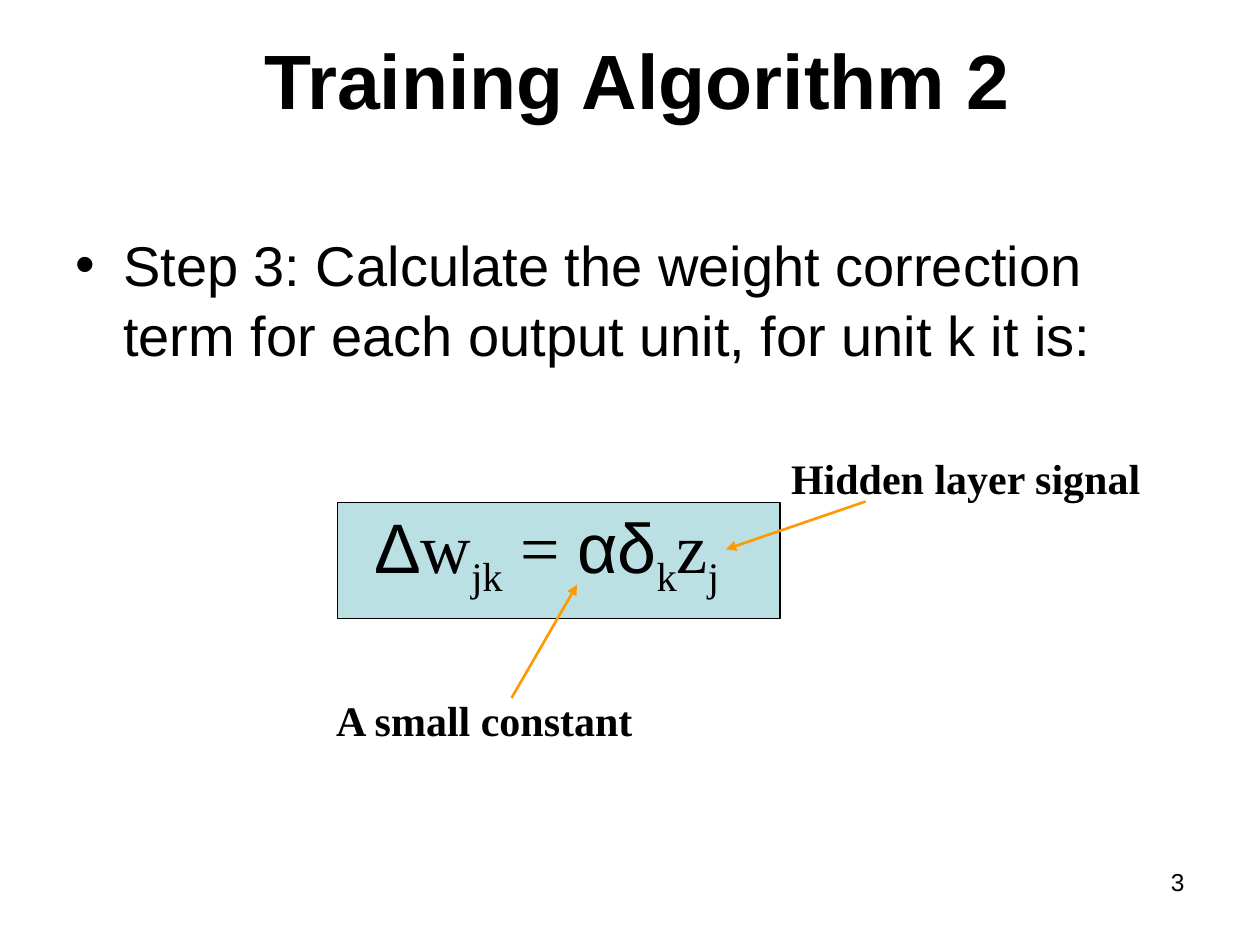
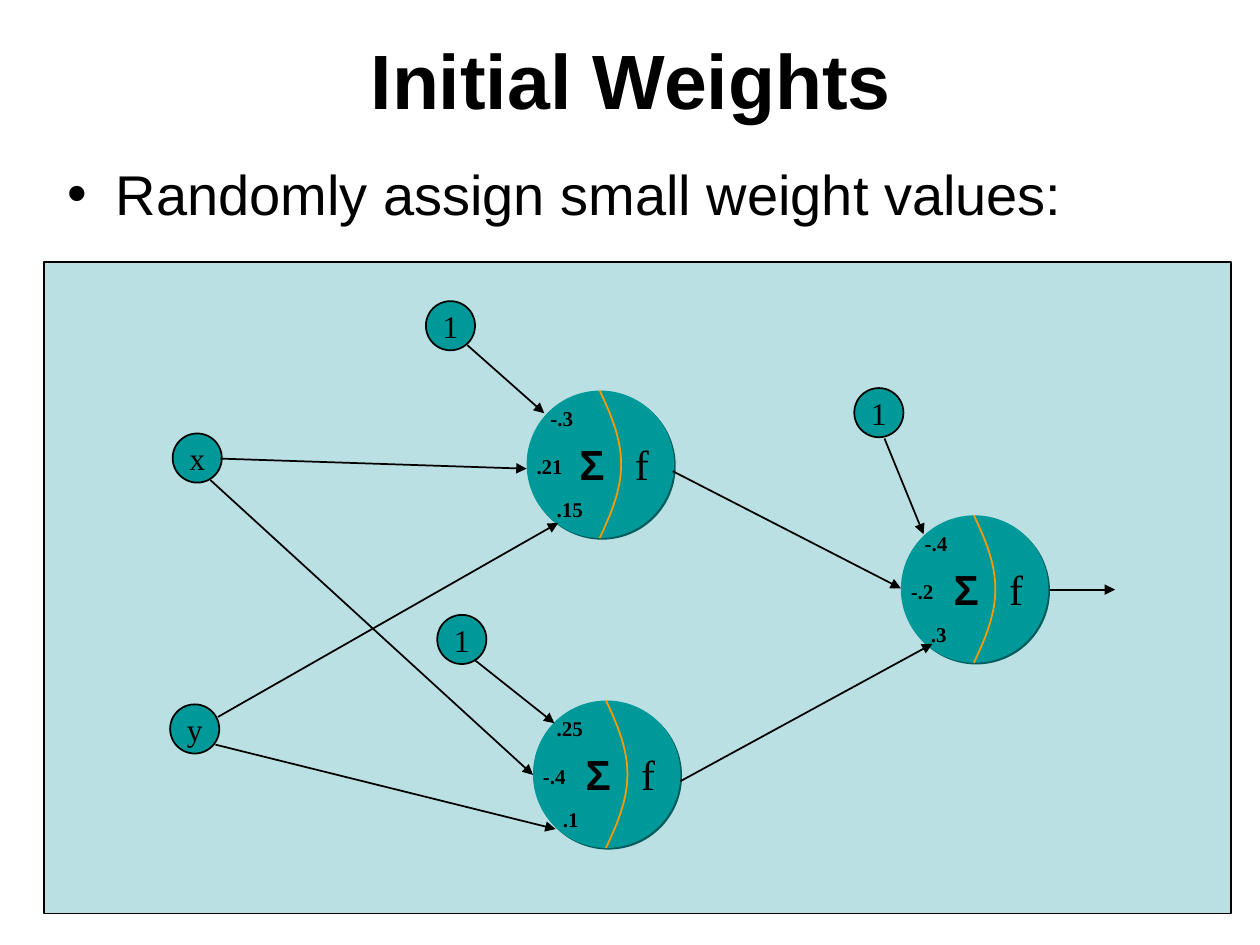
from lxml.etree import SubElement
from pptx import Presentation
from pptx.dml.color import RGBColor
from pptx.enum.shapes import MSO_CONNECTOR, MSO_SHAPE
from pptx.enum.text import MSO_ANCHOR, MSO_AUTO_SIZE, PP_ALIGN
from pptx.oxml.ns import qn
from pptx.util import Inches, Pt

# Shared look
BLACK, PANEL, TEAL, TEAL_SHADE, ORANGE = "000000", "BBE0E3", "009999", "005C5C", "FF9900"
SANS, SERIF = "Arial", "Times New Roman"

# Slide 1: text, font, is subscript
EQUATION = [
    ("Δ", SANS, False), ("w", SERIF, False), ("jk", SERIF, True),
    (" = ", SERIF, False), ("αδ", SANS, False), ("k", SERIF, True),
    ("z", SERIF, False), ("j", SERIF, True),
]
# Label, its box, arrow start, arrow end
CALLOUTS = [
    ("A small constant", (2.57, 5.46, 2.57, 0.5), (4.06, 5.54), (4.58, 4.64)),
    ("Hidden layer signal", (6.18, 3.54, 2.98, 0.5), (6.87, 3.98), (5.76, 4.36)),
]

# Slide 2: label, left, top
INPUTS = [("x", 1.37, 3.44), ("y", 1.35, 5.59)]
BIASES = [("1", 3.38, 2.39), ("1", 3.47, 4.88), ("1", 6.78, 3.08)]
# Left, top, weights from top to bottom
NEURONS = [
    (4.18, 3.1, ("-.3", ".21", ".15")),
    (4.23, 5.56, (".25", "-.4", ".1")),
    (7.15, 4.09, ("-.4", "-.2", ".3")),
]
SIGNALS = [
    ((3.77, 5.24), (4.4, 5.74)), ((3.71, 2.74), (4.32, 3.28)),
    ((1.75, 3.64), (4.18, 3.72)), ((1.67, 3.81), (4.23, 6.15)),
    ((1.73, 5.69), (4.43, 4.15)), ((1.71, 5.91), (4.41, 6.58)),
    ((7.02, 3.48), (7.33, 4.24)), ((5.34, 3.74), (7.15, 4.67)),
    ((5.4, 6.2), (7.4, 5.11)), ((8.33, 4.68), (8.85, 4.68)),
]
NODE_SIZE, NEURON_SIZE = 0.39, 1.17
WEIGHT_OFFSETS = [(0.09, 0.07), (-0.02, 0.45), (0.14, 0.79)]
# Half of the divider inside a neuron, as Bezier control points
DIVIDER = [(0.58, 0), (0.67, 0.19), (0.75, 0.38), (0.75, 0.58)]
GLYPH_EMS = {"-": 0.33, ".": 0.25}


def rgb(color):
    return RGBColor.from_string(color)


def add_run(p, text, size, font=SANS, bold=False, subscript=False):
    r = p.add_run()
    r.text = text
    r.font.size, r.font.name, r.font.bold = Pt(size), font, bold
    r.font.color.rgb = rgb(BLACK)
    if subscript:
        r.font._element.set("baseline", "-25000")


def add_text(s, box, text="", size=32, font=SANS, bold=False, wrap=True,
             align=PP_ALIGN.LEFT, anchor=MSO_ANCHOR.TOP):
    tf = s.shapes.add_textbox(*map(Inches, box)).text_frame
    tf.word_wrap, tf.vertical_anchor = wrap, anchor
    if not wrap:
        tf.auto_size = MSO_AUTO_SIZE.SHAPE_TO_FIT_TEXT
    p = tf.paragraphs[0]
    p.alignment = align
    if text:
        add_run(p, text, size, font, bold)
    return p


def add_title(s, left, text):
    add_text(s, (left, 0, 9, 1.25), text, 44, bold=True,
             align=PP_ALIGN.CENTER, anchor=MSO_ANCHOR.MIDDLE)


def add_bullet(s, left, top, text):
    p = add_text(s, (left, top, 9, 4.95))
    p.line_spacing = 1.05
    pPr = p._p.get_or_add_pPr()
    pPr.set("marL", str(Inches(0.38)))
    pPr.set("indent", str(-Inches(0.38)))
    SubElement(pPr, qn("a:buFont"), typeface=SANS)
    SubElement(pPr, qn("a:buChar"), char="•")
    add_run(p, text, 32)


def set_line(shape, color, width):
    shape.line.color.rgb = rgb(color)
    shape.line.width = Pt(width)


def add_shape(s, kind, box, fill, line_width=None):
    sp = s.shapes.add_shape(kind, *map(Inches, box))
    sp.shadow.inherit = False
    sp.fill.solid()
    sp.fill.fore_color.rgb = rgb(fill)
    if line_width:
        set_line(sp, BLACK, line_width)
    else:
        sp.line.fill.background()
    return sp


def add_arrow(s, start, end, color=BLACK, width=1):
    line = s.shapes.add_connector(MSO_CONNECTOR.STRAIGHT, *map(Inches, start + end))
    set_line(line, color, width)
    SubElement(line.line._get_or_add_ln(), qn("a:tailEnd"), type="triangle")
    SubElement(line._element.spPr, qn("a:effectLst"))


def add_node(s, label, left, top):
    sp = add_shape(s, MSO_SHAPE.OVAL, (left, top, NODE_SIZE, NODE_SIZE), TEAL, 1)
    tf = sp.text_frame
    tf.word_wrap, tf.vertical_anchor = False, MSO_ANCHOR.MIDDLE
    p = tf.paragraphs[0]
    p.alignment = PP_ALIGN.CENTER
    add_run(p, label, 18, SERIF)


def bezier(t):
    factors = ((1 - t) ** 3, 3 * t * (1 - t) ** 2, 3 * t * t * (1 - t), t ** 3)
    return tuple(sum(f * pt[i] for f, pt in zip(factors, DIVIDER)) for i in (0, 1))


def add_neuron(s, left, top, weights):
    # Body with a hard offset shadow
    sp = add_shape(s, MSO_SHAPE.OVAL, (left, top, NEURON_SIZE, NEURON_SIZE), TEAL)
    effects = sp._element.spPr.find(qn("a:effectLst"))
    shadow = SubElement(effects, qn("a:outerShdw"), blurRad="0", dist=str(Pt(1.4)),
                        dir=str(45 * 60000), algn="ctr", rotWithShape="0")
    SubElement(shadow, qn("a:srgbClr"), val=TEAL_SHADE)

    # Curved divider: one half and its mirror
    half = [bezier(i / 16) for i in range(17)]
    curve = half + [(x, NEURON_SIZE - y) for x, y in reversed(half)]
    points = [(Inches(left + x), Inches(top + y)) for x, y in curve]
    builder = s.shapes.build_freeform(*points[0])
    builder.add_line_segments(points[1:], close=False)
    divider = builder.convert_to_shape()
    divider.shadow.inherit = False
    divider.fill.background()
    set_line(divider, ORANGE, 1)

    # Sum, activation and weights
    add_text(s, (left + 0.76, top + 0.33, 0.31, 0.5), "f", 24, SERIF, wrap=False)
    add_text(s, (left + 0.32, top + 0.33, 0.39, 0.5), "Σ", 24, bold=True, wrap=False)
    for weight, (dx, dy) in zip(weights, WEIGHT_OFFSETS):
        width = 0.2 + sum(GLYPH_EMS.get(c, 0.5) for c in weight) * 12 / 72
        add_text(s, (left + dx, top + dy, width, 0.3), weight, 12, SERIF, True, wrap=False)


def build_training_slide(s):
    add_text(s, (7.17, 6.83, 2.33, 0.52), "3", 14, align=PP_ALIGN.RIGHT)
    add_title(s, 0.56, "Training Algorithm 2")
    add_bullet(s, 0.5, 1.75, "Step 3: Calculate the weight correction term "
               "for each output unit, for unit k it is:")
    add_shape(s, MSO_SHAPE.RECTANGLE, (2.68, 3.99, 3.51, 0.92), PANEL, 0.75)
    p = add_text(s, (2.87, 3.95, 2.99, 0.86))
    for text, font, subscript in EQUATION:
        add_run(p, text, 40, font, subscript=subscript)
    for label, box, start, end in CALLOUTS:
        add_text(s, box, label, 24, SERIF, True, wrap=False)
        add_arrow(s, start, end, ORANGE, 1.5)


def build_weights_slide(s):
    add_title(s, 0.51, "Initial Weights")
    add_bullet(s, 0.44, 1.19, "Randomly assign small weight values:")
    add_shape(s, MSO_SHAPE.RECTANGLE, (0.35, 2.08, 9.42, 5.17), PANEL, 0.75)
    for neuron in NEURONS:
        add_neuron(s, *neuron)
    for node in INPUTS + BIASES:
        add_node(s, *node)
    for start, end in SIGNALS:
        add_arrow(s, start, end)


def main():
    prs = Presentation()
    prs.slide_width, prs.slide_height = Inches(10), Inches(7.5)
    for build in (build_training_slide, build_weights_slide):
        build(prs.slides.add_slide(prs.slide_layouts[6]))
    prs.save("out.pptx")


if __name__ == "__main__":
    main()
